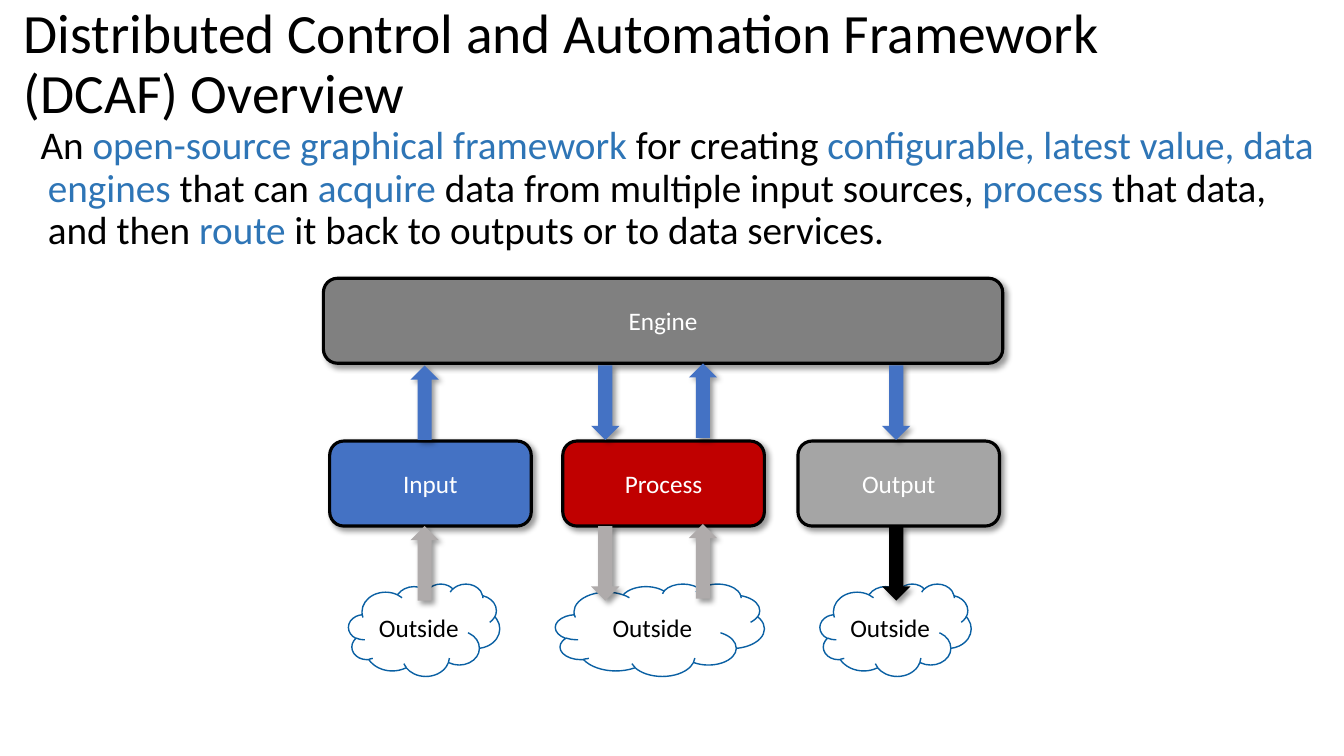
from lxml import etree
from pptx import Presentation
from pptx import util as u
from pptx.dml.color import RGBColor
from pptx.enum import shapes, text
from pptx.oxml.ns import qn

COLOURS = {
    "black": "000000", "white": "FFFFFF", "highlight": "2E75B6",
    "blue": "4472C4", "red": "C00000", "silver": "A5A5A5",
    "engine": "808080", "outside": "AFABAB", "cloud": "0A60A3",
}
FONT = "Calibri"
MODULE_WIDTH, MODULE_HEIGHT = 192, 81
ARROW_WIDTH, ARROW_HEIGHT = 27, 71
MODULE_TOP, CLOUD_TOP, CLOUD_HEIGHT = 155, 291, 88
ENGINE_FLOW_TOP, OUTSIDE_FLOW_TOP = 83, 236

TITLE = "Distributed Control and Automation Framework (DCAF) Overview"
SUMMARY = [
    ("An ", "black"),
    ("open-source graphical framework", "highlight"),
    (" for creating ", "black"),
    ("configurable, latest value, data engines ", "highlight"),
    ("that can ", "black"),
    ("acquire", "highlight"),
    (" data from multiple input sources, ", "black"),
    ("process", "highlight"),
    (" that data, and then ", "black"),
    ("route", "highlight"),
    (" it back to outputs or to data services.", "black"),
]
MODULES = [
    {"name": "Input", "left": 6, "fill": "blue", "cloud": (18, 144),
     "flows": [(77, 0, True)], "outside": "outside"},
    {"name": "Process", "left": 228, "fill": "red", "cloud": (-7, 199),
     "flows": [(27, 0, False), (120, -2, True)], "outside": "outside"},
    {"name": "Output", "left": 452, "fill": "silver", "cloud": (21, 144),
     "flows": [(80, 0, False)], "outside": "black"},
]


def px(length):
    return u.Emu(length * 9525)


def rgb(name):
    return RGBColor.from_string(COLOURS[name])


def style(paragraph, size, colour=None):
    paragraph.font.name = FONT
    paragraph.font.size = u.Pt(size)
    if colour:
        paragraph.font.color.rgb = rgb(colour)


def place(placeholder, box):
    placeholder.left, placeholder.top, placeholder.width, placeholder.height = map(px, box)


def add_shape(slide, preset, box, fill=None, line=None, line_width=0):
    shape = slide.shapes.add_shape(preset, *map(px, box))
    shape.shadow.inherit = False
    if fill:
        shape.fill.solid()
        shape.fill.fore_color.rgb = rgb(fill)
    else:
        shape.fill.background()
    if line:
        shape.line.color.rgb = rgb(line)
        shape.line.width = u.Pt(line_width)
    else:
        shape.line.fill.background()
    return shape


def cast_shadow(shape):
    effects = shape._element.spPr.find(qn("a:effectLst"))
    shadow = etree.SubElement(
        effects, qn("a:outerShdw"), blurRad=str(u.Pt(4)), dist=str(u.Pt(3)),
        dir="2700000", algn="tl", rotWithShape="0")
    tint = etree.SubElement(shadow, qn("a:srgbClr"), val=COLOURS["black"])
    etree.SubElement(tint, qn("a:alpha"), val="40000")


def add_label(shape, wording, colour):
    frame = shape.text_frame
    frame.word_wrap = True
    frame.vertical_anchor = text.MSO_ANCHOR.MIDDLE
    label = frame.paragraphs[0]
    label.text = wording
    label.alignment = text.PP_ALIGN.CENTER
    style(label, 18, colour)


def add_block(slide, wording, box, fill):
    block = add_shape(slide, shapes.MSO_SHAPE.ROUNDED_RECTANGLE, box, fill, "black", 2.25)
    cast_shadow(block)
    add_label(block, wording, "white")


def add_flow(slide, left, top, upward, fill):
    arrow = add_shape(slide, shapes.MSO_SHAPE.UP_ARROW,
                      (left, top, ARROW_WIDTH, ARROW_HEIGHT), fill)
    arrow.rotation = 0 if upward else 180
    cast_shadow(arrow)


def add_cloud(slide, box):
    cloud = add_shape(slide, shapes.MSO_SHAPE.CLOUD, box, None, "cloud", 1)
    cloud.text_frame.margin_left = cloud.text_frame.margin_right = 0
    add_label(cloud, "Outside", "black")


def add_title(slide, box):
    title = slide.shapes.title
    place(title, box)
    frame = title.text_frame
    frame.word_wrap = True
    frame.vertical_anchor = text.MSO_ANCHOR.MIDDLE
    heading = frame.paragraphs[0]
    heading.text = TITLE
    heading.alignment = text.PP_ALIGN.LEFT
    heading.line_spacing = 0.9
    style(heading, 39.6, "black")


def add_summary(slide, box):
    body = slide.placeholders[1]
    place(body, box)
    body.text_frame.word_wrap = True
    summary = body.text_frame.paragraphs[0]
    properties = summary._p.get_or_add_pPr()
    properties.set("marL", str(px(24)))
    properties.set("indent", str(px(-7)))
    etree.SubElement(properties, qn("a:buNone"))
    summary.line_spacing = 0.9
    summary.space_before = u.Pt(0)
    style(summary, 28)
    for wording, colour in SUMMARY:
        phrase = summary.add_run()
        phrase.text = wording
        phrase.font.color.rgb = rgb(colour)


def add_module(slide, module, left, top):
    add_block(slide, module["name"],
              (left, top + MODULE_TOP, MODULE_WIDTH, MODULE_HEIGHT), module["fill"])
    cloud_offset, cloud_width = module["cloud"]
    add_cloud(slide, (left + cloud_offset, top + CLOUD_TOP, cloud_width, CLOUD_HEIGHT))
    for offset, lift, upward in module["flows"]:
        add_flow(slide, left + offset, top + ENGINE_FLOW_TOP + lift, upward, "blue")
        add_flow(slide, left + offset, top + OUTSIDE_FLOW_TOP + lift, upward, module["outside"])


def add_diagram(slide, box):
    left, top, width, _ = box
    add_block(slide, "Engine", (left, top, width, MODULE_HEIGHT), "engine")
    for module in MODULES:
        add_module(slide, module, left + module["left"], top)


def main():
    deck = Presentation()
    deck.slide_width, deck.slide_height = px(1280), px(720)
    slide = deck.slides.add_slide(deck.slide_layouts[1])
    add_title(slide, (13, 12, 1193, 101))
    add_summary(slide, (12, 115, 1267, 194))
    add_diagram(slide, (308, 265, 647, 379))
    deck.save("out.pptx")


if __name__ == "__main__":
    main()
